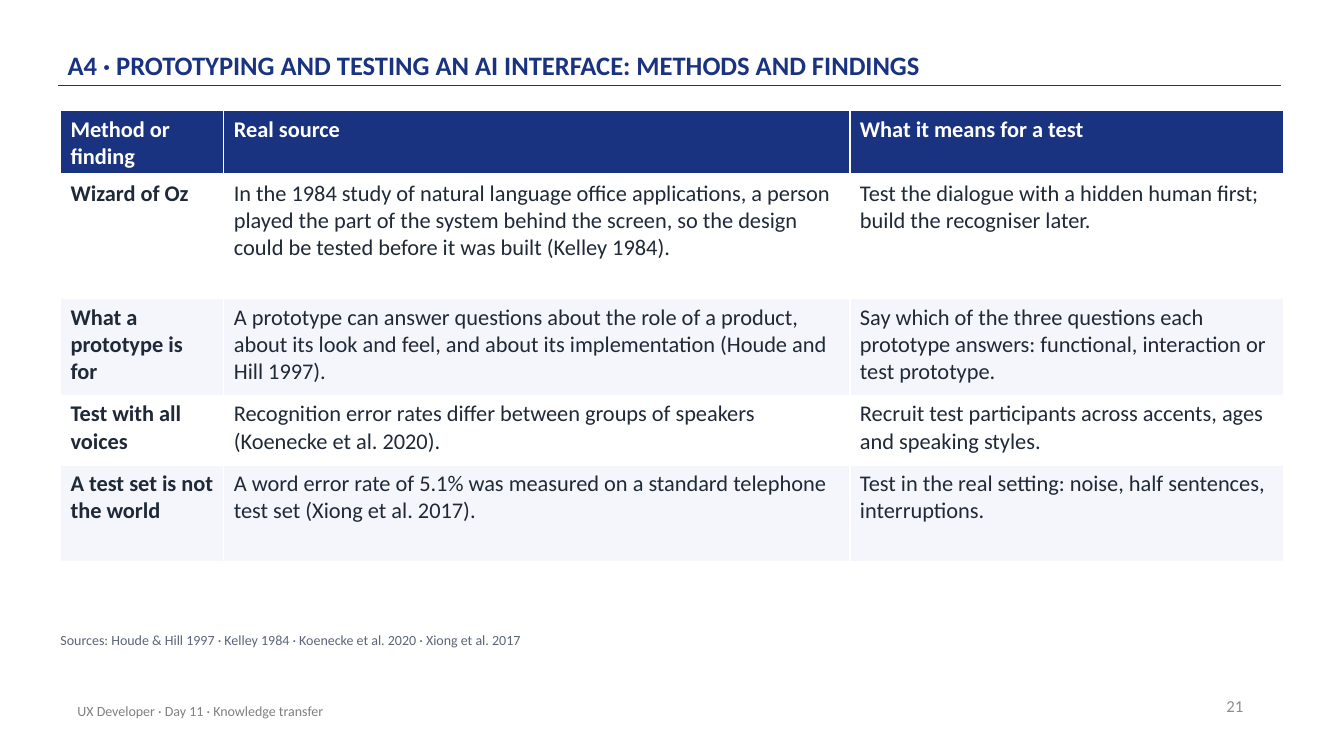
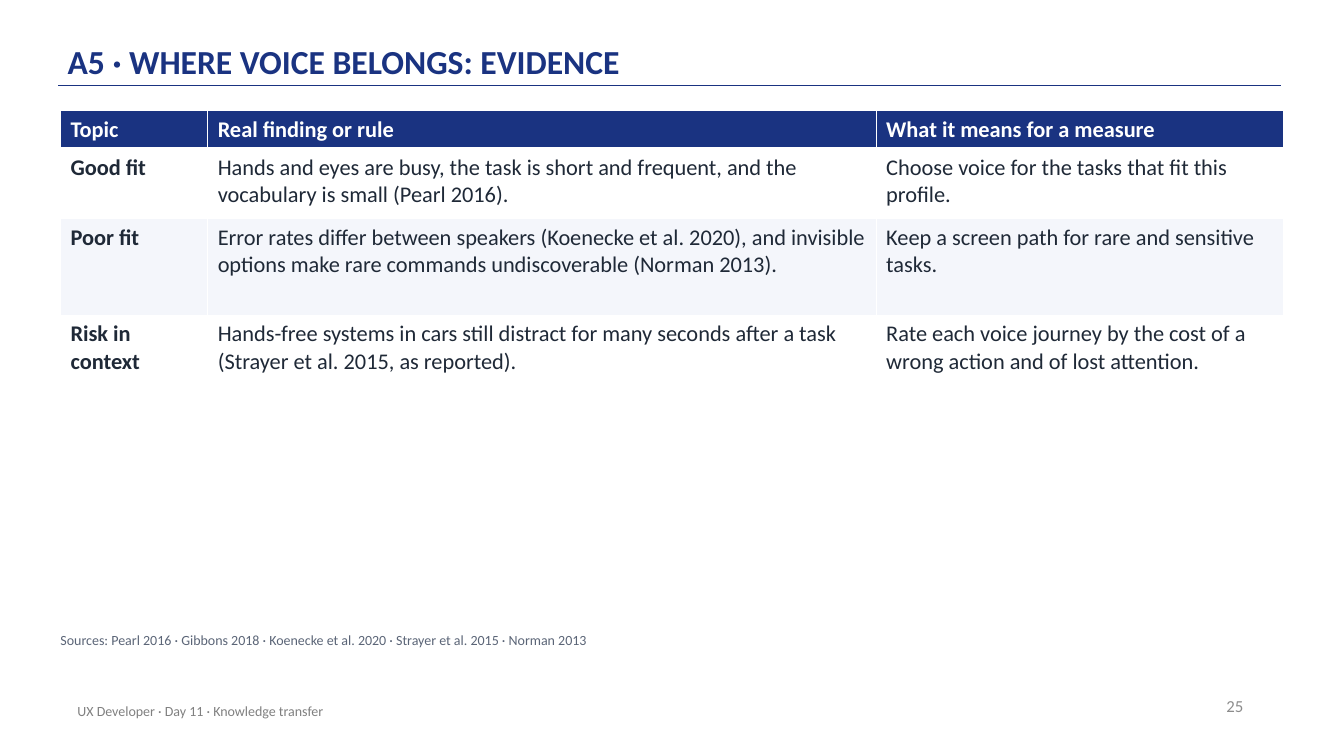
"""Build two slides of evidence tables on testing and using voice."""
from lxml import etree
from pptx import Presentation
from pptx.dml.color import RGBColor
from pptx.enum.shapes import MSO_CONNECTOR
from pptx.enum.text import MSO_ANCHOR, MSO_AUTO_SIZE, PP_ALIGN
from pptx.oxml import parse_xml
from pptx.oxml.ns import nsdecls, qn
from pptx.util import Inches, Pt

STRAIGHT = MSO_CONNECTOR.STRAIGHT
LEFT, RIGHT = PP_ALIGN.LEFT, PP_ALIGN.RIGHT
TOP, MIDDLE, BOTTOM = MSO_ANCHOR.TOP, MSO_ANCHOR.MIDDLE, MSO_ANCHOR.BOTTOM
NO_FIT = MSO_AUTO_SIZE.NONE
NAVY = RGBColor(0x1A, 0x33, 0x81)
INK = RGBColor(0x1F, 0x29, 0x37)
SLATE = RGBColor(0x5B, 0x65, 0x77)
GREY = RGBColor(0x80, 0x80, 0x80)
SILVER = RGBColor(0x8C, 0x8C, 0x8C)
WHITE = RGBColor(0xFF, 0xFF, 0xFF)
PALE = RGBColor(0xF4, 0xF6, 0xFB)
FONT = "Calibri"
TITLE_ONLY = 5
FOOTER = "UX Developer · Day 11 · Knowledge transfer"

SLIDES = [
    {
        "title": "A4 · PROTOTYPING AND TESTING AN AI INTERFACE: METHODS AND FINDINGS",
        "size": 19,
        "page": "21",
        "cols": [1.62, 6.21, 4.3],
        "heights": [0.38, 1.23, 0.96, 0.69, 0.96],
        "rows": [
            ["Method or finding", "Real source", "What it means for a test"],
            ["Wizard of Oz",
             "In the 1984 study of natural language office applications, a person "
             "played the part of the system behind the screen, so the design could "
             "be tested before it was built (Kelley 1984).",
             "Test the dialogue with a hidden human first; build the recogniser later."],
            ["What a prototype is for",
             "A prototype can answer questions about the role of a product, about "
             "its look and feel, and about its implementation (Houde and Hill 1997).",
             "Say which of the three questions each prototype answers: functional, "
             "interaction or test prototype."],
            ["Test with all voices",
             "Recognition error rates differ between groups of speakers "
             "(Koenecke et al. 2020).",
             "Recruit test participants across accents, ages and speaking styles."],
            ["A test set is not the world",
             "A word error rate of 5.1% was measured on a standard telephone test "
             "set (Xiong et al. 2017).",
             "Test in the real setting: noise, half sentences, interruptions."],
        ],
        "sources": "Sources: Houde & Hill 1997 · Kelley 1984 · Koenecke et al. 2020 · "
                   "Xiong et al. 2017",
    },
    {
        "title": "A5 · WHERE VOICE BELONGS: EVIDENCE",
        "size": 24,
        "page": "25",
        "cols": [1.46, 6.63, 4.04],
        "heights": [0.38, 0.69, 0.96, 0.96],
        "rows": [
            ["Topic", "Real finding or rule", "What it means for a measure"],
            ["Good fit",
             "Hands and eyes are busy, the task is short and frequent, and the "
             "vocabulary is small (Pearl 2016).",
             "Choose voice for the tasks that fit this profile."],
            ["Poor fit",
             "Error rates differ between speakers (Koenecke et al. 2020), and "
             "invisible options make rare commands undiscoverable (Norman 2013).",
             "Keep a screen path for rare and sensitive tasks."],
            ["Risk in context",
             "Hands-free systems in cars still distract for many seconds after a "
             "task (Strayer et al. 2015, as reported).",
             "Rate each voice journey by the cost of a wrong action and of lost "
             "attention."],
        ],
        "sources": "Sources: Pearl 2016 · Gibbons 2018 · Koenecke et al. 2020 · "
                   "Strayer et al. 2015 · Norman 2013",
    },
]


def add_run(para, text, size, color, bold=False):
    """Add one styled run to a paragraph."""
    run = para.add_run()
    run.text = text
    font = run.font
    font.name, font.size, font.bold = FONT, Pt(size), bold
    font.color.rgb = color


def add_title(slide, text, size):
    """Place and fill the title placeholder."""
    title = slide.shapes.title
    title.left, title.top = Inches(0.67), Inches(0.12)
    title.width, title.height = Inches(11), Inches(0.72)
    frame = title.text_frame
    frame.auto_size, frame.word_wrap = NO_FIT, True
    frame.vertical_anchor = BOTTOM
    frame.margin_left = frame.margin_right = 0
    frame.margin_top = frame.margin_bottom = Inches(0.03)
    para = frame.paragraphs[0]
    para.alignment, para.line_spacing = LEFT, 0.9
    add_run(para, text, size, NAVY, True)


def add_rule(slide):
    """Draw the thin line below the title."""
    y = Inches(0.85)
    rule = slide.shapes.add_connector(STRAIGHT, Inches(0.58), y, Inches(12.71), y)
    rule.line.color.rgb = NAVY
    rule.line.width = Pt(1)
    etree.SubElement(rule.element.spPr, qn("a:effectLst"))


def add_note(slide, box, text, size, color, align=LEFT, anchor=MIDDLE, inset=True):
    """Add a one-line text box."""
    frame = slide.shapes.add_textbox(*map(Inches, box)).text_frame
    frame.word_wrap = True
    frame.vertical_anchor = anchor
    if not inset:
        frame.margin_left = frame.margin_right = 0
        frame.margin_top = frame.margin_bottom = 0
    para = frame.paragraphs[0]
    para.alignment = align
    add_run(para, text, size, color)


def add_edges(cell, base):
    """Give a cell white borders with a chosen bottom width."""
    props = cell._tc.get_or_add_tcPr()
    for side, width in (("L", 1), ("R", 1), ("T", 1), ("B", base)):
        props.append(parse_xml(
            f'<a:ln{side} {nsdecls("a")} w="{Pt(width)}"><a:solidFill>'
            f'<a:srgbClr val="{WHITE}"/></a:solidFill></a:ln{side}>'))


def add_grid(slide, rows, cols, heights):
    """Add a table with a navy header and striped rows."""
    frame = slide.shapes.add_table(
        len(rows), len(cols), Inches(0.6), Inches(1.1),
        Inches(sum(cols)), Inches(sum(heights)))
    table = frame.table
    for col, width in zip(table.columns, cols):
        col.width = Inches(width)
    for i, (texts, height) in enumerate(zip(rows, heights)):
        table.rows[i].height = Inches(height)
        head = i == 0
        fill = NAVY if head else (PALE, WHITE)[i % 2]
        for j, text in enumerate(texts):
            cell = table.cell(i, j)
            add_edges(cell, 3 if head else 1)
            cell.fill.solid()
            cell.fill.fore_color.rgb = fill
            add_run(cell.text_frame.paragraphs[0], text, 16,
                    WHITE if head else INK, head or j == 0)


def add_slide(deck, data):
    """Build one slide from its data."""
    slide = deck.slides.add_slide(deck.slide_layouts[TITLE_ONLY])
    add_rule(slide)
    add_title(slide, data["title"], data["size"])
    add_note(slide, (9.43, 6.8, 3, 0.4), data["page"], 12, SILVER, RIGHT)
    add_note(slide, (0.67, 6.85, 6.7, 0.4), FOOTER, 10, GREY)
    add_grid(slide, data["rows"], data["cols"], data["heights"])
    add_note(slide, (0.6, 6.27, 12.1, 0.3), data["sources"], 10, SLATE,
             anchor=TOP, inset=False)


def main():
    """Build and save the deck."""
    deck = Presentation()
    deck.slide_width, deck.slide_height = Inches(13.33), Inches(7.5)
    for data in SLIDES:
        add_slide(deck, data)
    deck.save("out.pptx")


if __name__ == "__main__":
    main()
